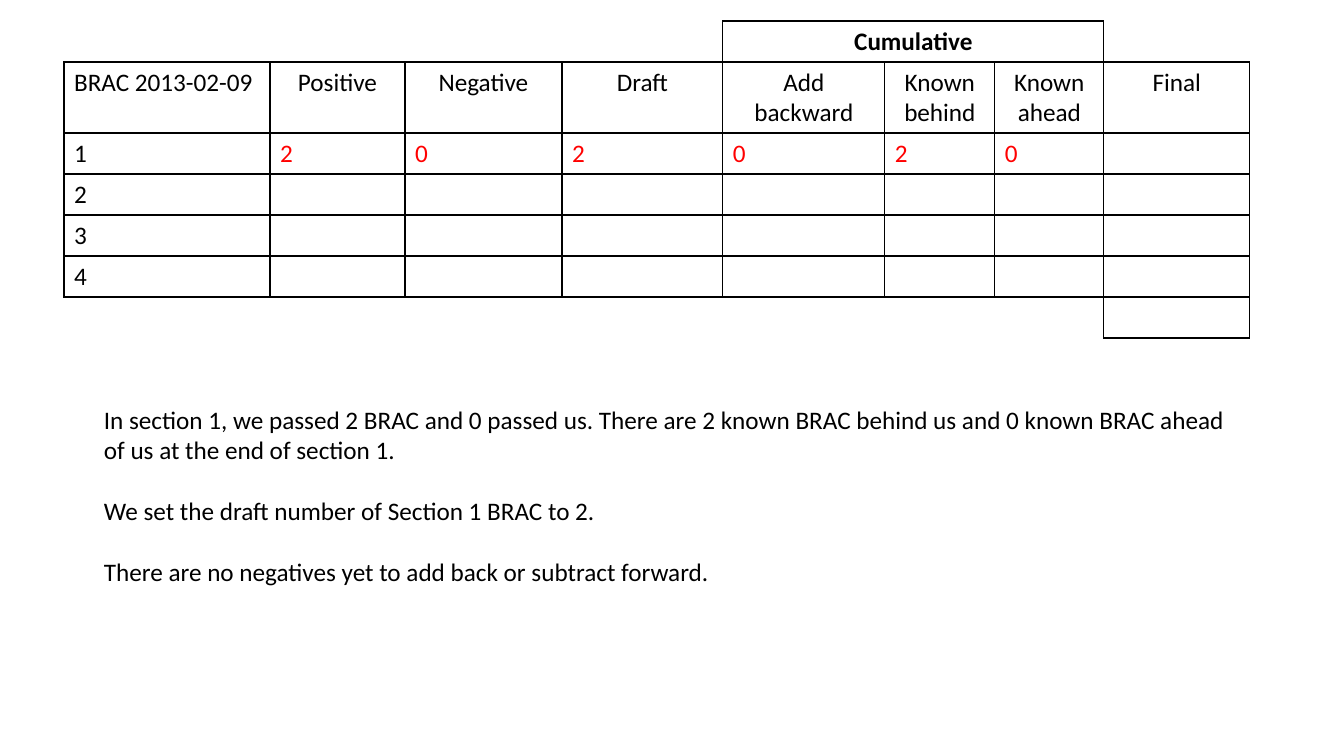
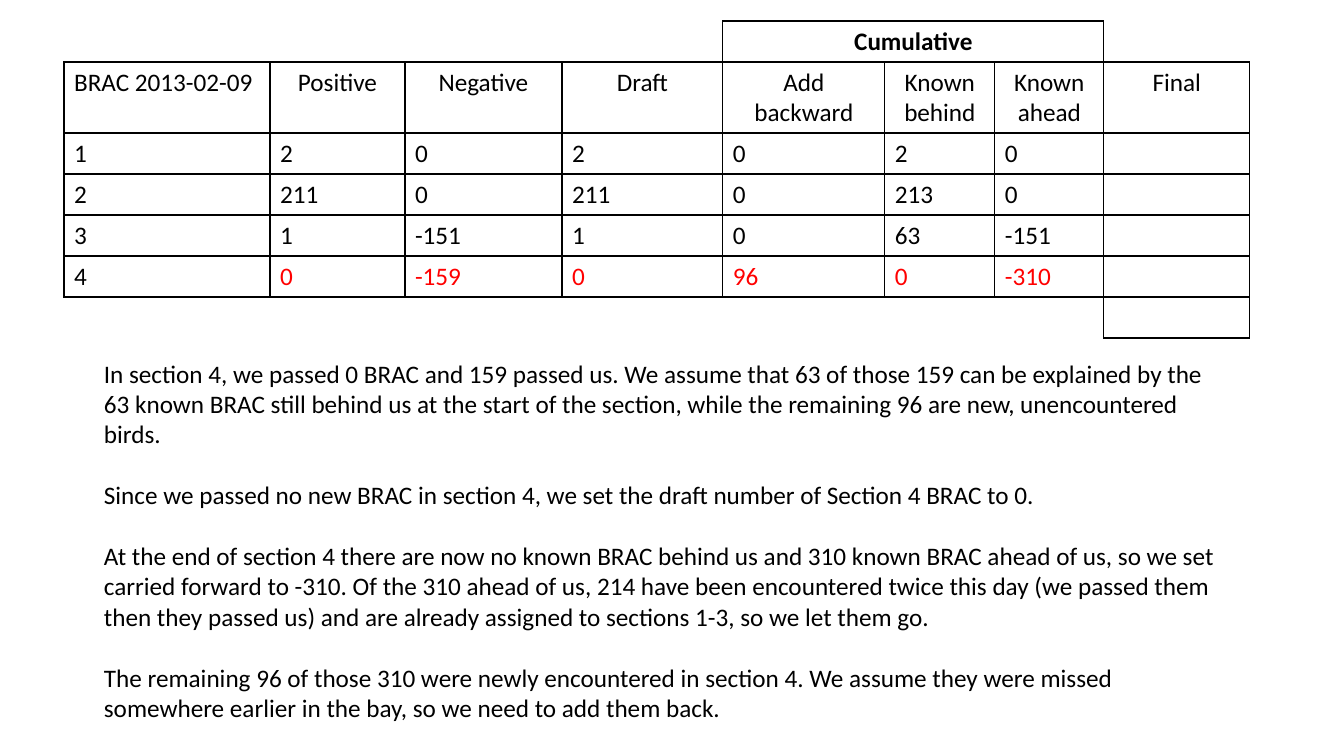
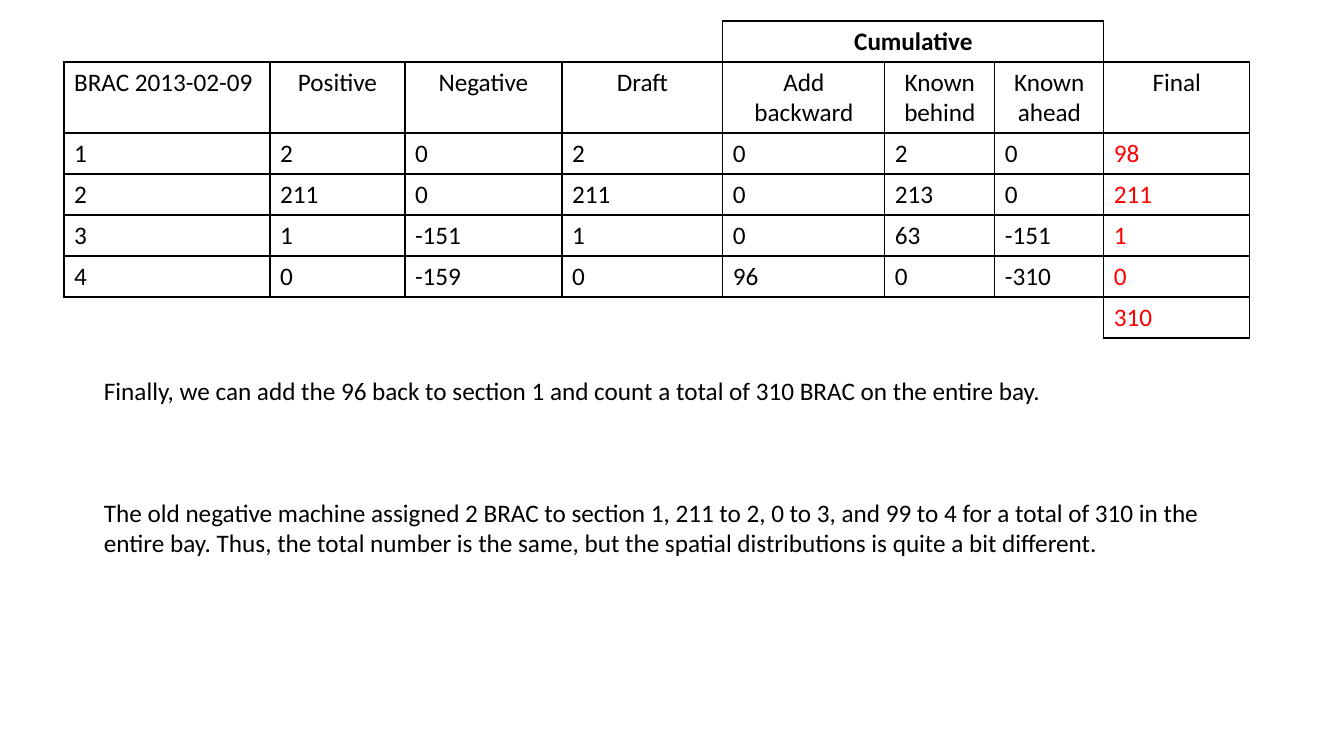
from lxml import etree
from pptx import Presentation
from pptx.dml.color import RGBColor
from pptx.enum.text import MSO_AUTO_SIZE, PP_ALIGN
from pptx.oxml.ns import qn
from pptx.util import Pt

LEFT, CENTER = PP_ALIGN.LEFT, PP_ALIGN.CENTER
GROW = MSO_AUTO_SIZE.SHAPE_TO_FIT_TEXT

HEADS = ["BRAC 2013-02-09", "Positive", "Negative", "Draft",
         "Add backward", "Known behind", "Known ahead", "Final"]
COUNTS = [
    [2, 0, 2, 0, 2, 0],
    [211, 0, 211, 0, 213, 0],
    [1, -151, 1, 0, 63, -151],
    [0, -159, 0, 96, 0, -310],
]
FINALS = [98, 211, 1, 0, 310]

# done: sections counted so far; final: final column filled in;
# box: top and height of the notes; gap: blank lines between notes
STEPS = [
    {"done": 1, "final": False, "box": (399, 194), "gap": 1, "notes": [
        "In section 1, we passed 2 BRAC and 0 passed us. There are 2 known "
        "BRAC behind us and 0 known BRAC ahead of us at the end of section 1.",
        "We set the draft number of Section 1 BRAC to 2.",
        "There are no negatives yet to add back or subtract forward."]},
    {"done": 4, "final": False, "box": (353, 377), "gap": 1, "notes": [
        "In section 4, we passed 0 BRAC and 159 passed us. We assume that 63 "
        "of those 159 can be explained by the 63 known BRAC still behind us "
        "at the start of the section, while the remaining 96 are new, "
        "unencountered birds.",
        "Since we passed no new BRAC in section 4, we set the draft number "
        "of Section 4 BRAC to 0.",
        "At the end of section 4 there are now no known BRAC behind us and "
        "310 known BRAC ahead of us, so we set carried forward to -310. Of "
        "the 310 ahead of us, 214 have been encountered twice this day (we "
        "passed them then they passed us) and are already assigned to "
        "sections 1-3, so we let them go.",
        "The remaining 96 of those 310 were newly encountered in section 4. "
        "We assume they were missed somewhere earlier in the bay, so we need "
        "to add them back."]},
    {"done": 4, "final": True, "box": (370, 194), "gap": 3, "notes": [
        "Finally, we can add the 96 back to section 1 and count a total of "
        "310 BRAC on the entire bay.",
        "The old negative machine assigned 2 BRAC to section 1, 211 to 2, "
        "0 to 3, and 99 to 4 for a total of 310 in the entire bay. Thus, the "
        "total number is the same, but the spatial distributions is quite a "
        "bit different."]},
]

SCALE = 914400 / 100.8
WIDE, HIGH = 1344, 756
FONT, SIZE, LINE = "Calibri", 18, 22
BLACK, RED = "000000", "FF0000"
GRID_X, GRID_Y = 64, 21
COLS = [206, 135, 157, 161, 162, 110, 109, 146]
ROWS = [41, 71] + [41] * 5
NOTE_X, NOTE_W = 94, 1150
GROUP = (4, 6)
LAST_ROW, LAST_COL = len(ROWS) - 1, len(COLS) - 1
SIDES = {"lnL": (0, -1), "lnR": (0, 1), "lnT": (-1, 0), "lnB": (1, 0)}


def px(n):
    """Turn pixels into EMU."""
    return round(n * SCALE)


def rgb(code):
    """Turn a hex string into a colour."""
    return RGBColor.from_string(code)


def write(para, text, color=BLACK, bold=False, align=LEFT, before=0):
    """Write text into a paragraph with its format."""
    para.alignment = align
    para.space_before = Pt(before)
    run = para.add_run()
    run.text = str(text)
    font = run.font
    font.name, font.size, font.bold = FONT, Pt(SIZE), bold
    font.color.rgb = rgb(color)


def boxed(row, col):
    """Tell whether the cell at this place has a frame."""
    if row == 0:
        return GROUP[0] <= col <= GROUP[1]
    if row == LAST_ROW:
        return col == LAST_COL
    return 0 < row < LAST_ROW and 0 <= col <= LAST_COL


def frame(cell, row, col):
    """Clear the fill and draw each side that touches a framed cell."""
    cell.fill.background()
    props = cell._tc.get_or_add_tcPr()
    for spot, (tag, (down, right)) in enumerate(SIDES.items()):
        line = etree.Element(qn("a:" + tag), w=str(Pt(1)))
        if boxed(row, col) or boxed(row + down, col + right):
            fill = etree.SubElement(line, qn("a:solidFill"))
            etree.SubElement(fill, qn("a:srgbClr"), val=BLACK)
        else:
            etree.SubElement(line, qn("a:noFill"))
        props.insert(spot, line)


def add_grid(slide, done, final):
    """Add the count table, with the newest values in red."""
    shape = slide.shapes.add_table(
        len(ROWS), len(COLS), px(GRID_X), px(GRID_Y),
        px(sum(COLS)), px(sum(ROWS)))
    grid = shape.table
    grid.first_row = grid.horz_banding = False
    for col, size in zip(grid.columns, COLS):
        col.width = px(size)
    for row, size in zip(grid.rows, ROWS):
        row.height = px(size)
    for row in range(len(ROWS)):
        for col in range(len(COLS)):
            frame(grid.cell(row, col), row, col)

    def put(row, col, text, **form):
        """Write into one cell."""
        write(grid.cell(row, col).text_frame.paragraphs[0], text, **form)

    grid.cell(0, GROUP[0]).merge(grid.cell(0, GROUP[1]))
    put(0, GROUP[0], "Cumulative", bold=True, align=CENTER)
    for col, head in enumerate(HEADS):
        put(1, col, head, align=CENTER if col else LEFT)
    for part, counts in enumerate(COUNTS, 1):
        put(part + 1, 0, part)
        if part <= done:
            color = RED if part == done and not final else BLACK
            for col, count in enumerate(counts, 1):
                put(part + 1, col, count, color=color)
    if final:
        for row, count in enumerate(FINALS, 2):
            put(row, LAST_COL, count, color=RED)


def add_notes(slide, notes, box, gap):
    """Add the notes below the table."""
    top, high = box
    shape = slide.shapes.add_textbox(px(NOTE_X), px(top), px(NOTE_W), px(high))
    frame = shape.text_frame
    frame.word_wrap, frame.auto_size = True, GROW
    for i, note in enumerate(notes):
        para = frame.add_paragraph() if i else frame.paragraphs[0]
        write(para, note, before=gap * LINE if i else 0)


deck = Presentation()
deck.slide_width, deck.slide_height = px(WIDE), px(HIGH)
for step in STEPS:
    slide = deck.slides.add_slide(deck.slide_layouts[6])
    add_notes(slide, step["notes"], step["box"], step["gap"])
    add_grid(slide, step["done"], step["final"])
deck.save("out.pptx")
